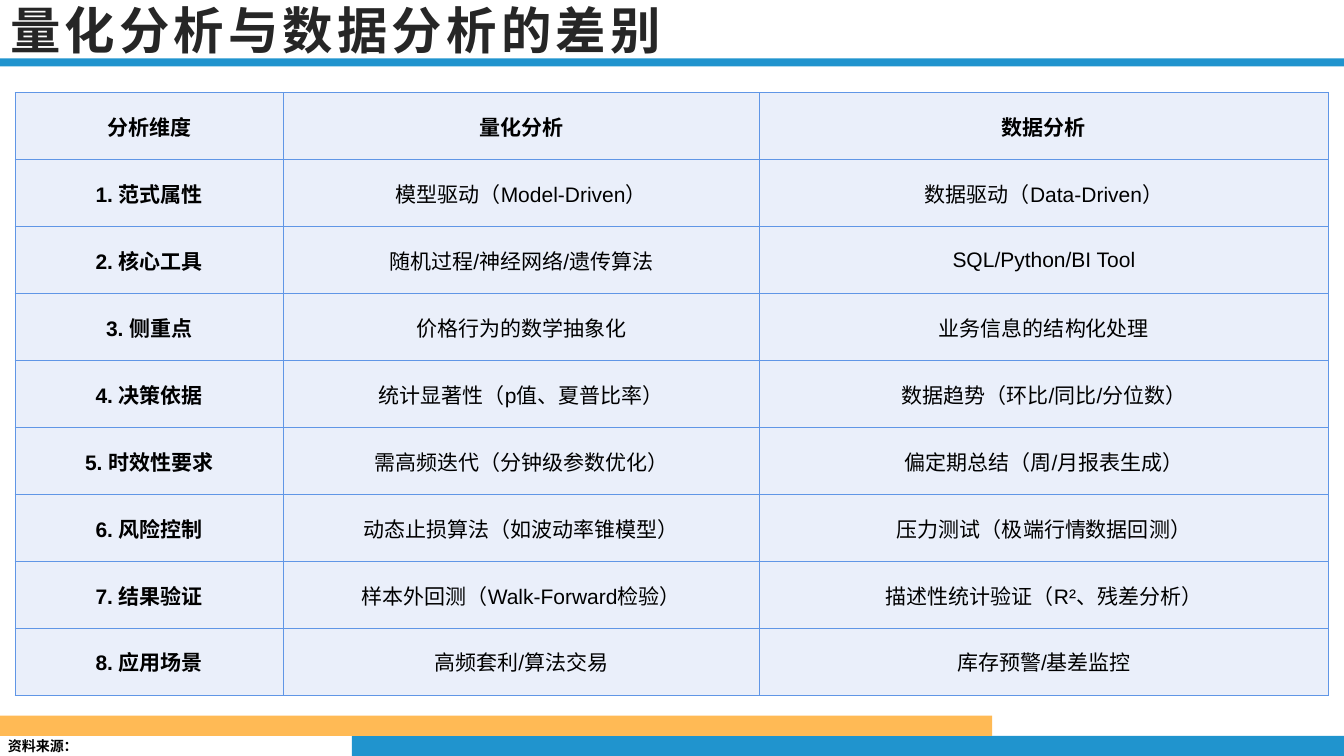
from dataclasses import dataclass

from lxml import etree
from pptx import Presentation
from pptx.dml.color import RGBColor
from pptx.enum import shapes, text
from pptx.oxml import ns
from pptx.slide import Slide
from pptx.table import _Cell
from pptx.text.text import _Paragraph
from pptx.util import Inches, Pt

BLUE = RGBColor(0x20, 0x94, 0xCE)
ORANGE = RGBColor(0xFF, 0xBA, 0x55)
BORDER = RGBColor(0x60, 0x96, 0xE6)
CELL_FILL = RGBColor(0xEA, 0xEF, 0xFA)
TITLE_COLOR = RGBColor(0x26, 0x26, 0x26)
BLACK = RGBColor(0, 0, 0)

ARIAL = "Arial"
NOTO = "Noto Sans CJK SC"


@dataclass
class Bar:
    left: float
    top: float
    width: float
    height: float
    color: RGBColor


@dataclass
class Comparison:
    dimension: str
    quantitative: str
    data: str

    def cells(self) -> tuple[str, str, str]:
        return self.dimension, self.quantitative, self.data


BARS = [
    Bar(3.49, 7.3, 9.84, 0.2, BLUE),
    Bar(0, 7.1, 9.84, 0.2, ORANGE),
    Bar(0, 0.58, 13.33, 0.08, BLUE),
]

COLUMN_WIDTHS = [2.66, 4.72, 5.65]
TABLE_HEIGHT = 5.98
COMPARISONS = [
    Comparison("分析维度", "量化分析", "数据分析"),
    Comparison("1. 范式属性", "模型驱动（Model-Driven）", "数据驱动（Data-Driven）"),
    Comparison("2. 核心工具", "随机过程/神经网络/遗传算法", "SQL/Python/BI Tool"),
    Comparison("3. 侧重点", "价格行为的数学抽象化", "业务信息的结构化处理"),
    Comparison("4. 决策依据", "统计显著性（p值、夏普比率）", "数据趋势（环比/同比/分位数）"),
    Comparison("5. 时效性要求", "需高频迭代（分钟级参数优化）", "偏定期总结（周/月报表生成）"),
    Comparison("6. 风险控制", "动态止损算法（如波动率锥模型）", "压力测试（极端行情数据回测）"),
    Comparison("7. 结果验证", "样本外回测（Walk-Forward检验）", "描述性统计验证（R²、残差分析）"),
    Comparison("8. 应用场景", "高频套利/算法交易", "库存预警/基差监控"),
]


def format_runs(paragraph: _Paragraph, size: float, color: RGBColor, bold: bool,
                latin: str = NOTO, spacing: float = 0) -> None:
    """Format every run, with Noto for Chinese and letter spacing in points."""
    for run in paragraph.runs:
        run.font.size = Pt(size)
        run.font.bold = bold
        run.font.color.rgb = color
        run.font.name = latin
        properties = run.font._element
        east_asian = etree.Element(ns.qn("a:ea"), typeface=NOTO)
        properties.find(ns.qn("a:latin")).addnext(east_asian)
        if spacing:
            properties.set("spc", str(round(spacing * 100)))


def add_bar(slide: Slide, bar: Bar) -> None:
    shape = slide.shapes.add_shape(
        shapes.MSO_SHAPE.RECTANGLE, Inches(bar.left), Inches(bar.top),
        Inches(bar.width), Inches(bar.height))
    shape.shadow.inherit = False
    shape.fill.solid()
    shape.fill.fore_color.rgb = bar.color
    shape.line.fill.background()


def add_source_label(slide: Slide) -> None:
    label = slide.shapes.add_textbox(Inches(-0.02), Inches(7.27), Inches(0.79), Inches(0.27))
    frame = label.text_frame
    frame.text = "资料来源："
    frame.word_wrap = False
    frame.margin_right = 0
    format_runs(frame.paragraphs[0], 10, BLACK, True)


def set_title(slide: Slide) -> None:
    title = slide.shapes.title
    title.left, title.top = Inches(0), Inches(0)
    title.width, title.height = Inches(11.44), Inches(0.58)
    frame = title.text_frame
    frame.text = "量化分析与数据分析的差别"
    frame.auto_size = text.MSO_AUTO_SIZE.NONE
    frame.vertical_anchor = text.MSO_ANCHOR.MIDDLE
    frame.paragraphs[0].alignment = text.PP_ALIGN.LEFT
    format_runs(frame.paragraphs[0], 36, TITLE_COLOR, True, spacing=3)


def add_borders(cell: _Cell) -> None:
    """Draw all four cell edges; they must precede the fill in the XML."""
    properties = cell._tc.get_or_add_tcPr()
    for index, edge in enumerate(("lnL", "lnR", "lnT", "lnB")):
        line = etree.Element(ns.qn(f"a:{edge}"), w=str(Pt(1)))
        fill = etree.SubElement(line, ns.qn("a:solidFill"))
        etree.SubElement(fill, ns.qn("a:srgbClr"), val=str(BORDER))
        properties.insert(index, line)


def fill_cell(cell: _Cell, content: str, bold: bool) -> None:
    cell.text_frame.text = content
    cell.vertical_anchor = text.MSO_ANCHOR.MIDDLE
    cell.margin_left = cell.margin_right = Inches(0.08)
    cell.margin_top = cell.margin_bottom = Inches(0.04)
    cell.fill.solid()
    cell.fill.fore_color.rgb = CELL_FILL
    add_borders(cell)
    paragraph = cell.text_frame.paragraphs[0]
    paragraph.alignment = text.PP_ALIGN.CENTER
    format_runs(paragraph, 15, BLACK, bold, ARIAL)


def add_comparison_table(slide: Slide) -> None:
    table = slide.shapes.add_table(
        len(COMPARISONS), len(COLUMN_WIDTHS), Inches(0.15), Inches(0.92),
        Inches(sum(COLUMN_WIDTHS)), Inches(TABLE_HEIGHT)).table
    for column, width in zip(table.columns, COLUMN_WIDTHS):
        column.width = Inches(width)
    for row_index, comparison in enumerate(COMPARISONS):
        for column_index, content in enumerate(comparison.cells()):
            is_heading = row_index == 0 or column_index == 0
            fill_cell(table.cell(row_index, column_index), content, is_heading)


def main() -> None:
    presentation = Presentation()
    presentation.slide_width = Inches(13.33)
    presentation.slide_height = Inches(7.5)
    slide = presentation.slides.add_slide(presentation.slide_layouts.get_by_name("Title Only"))
    for bar in BARS:
        add_bar(slide, bar)
    add_source_label(slide)
    set_title(slide)
    add_comparison_table(slide)
    presentation.save("out.pptx")


if __name__ == "__main__":
    main()
